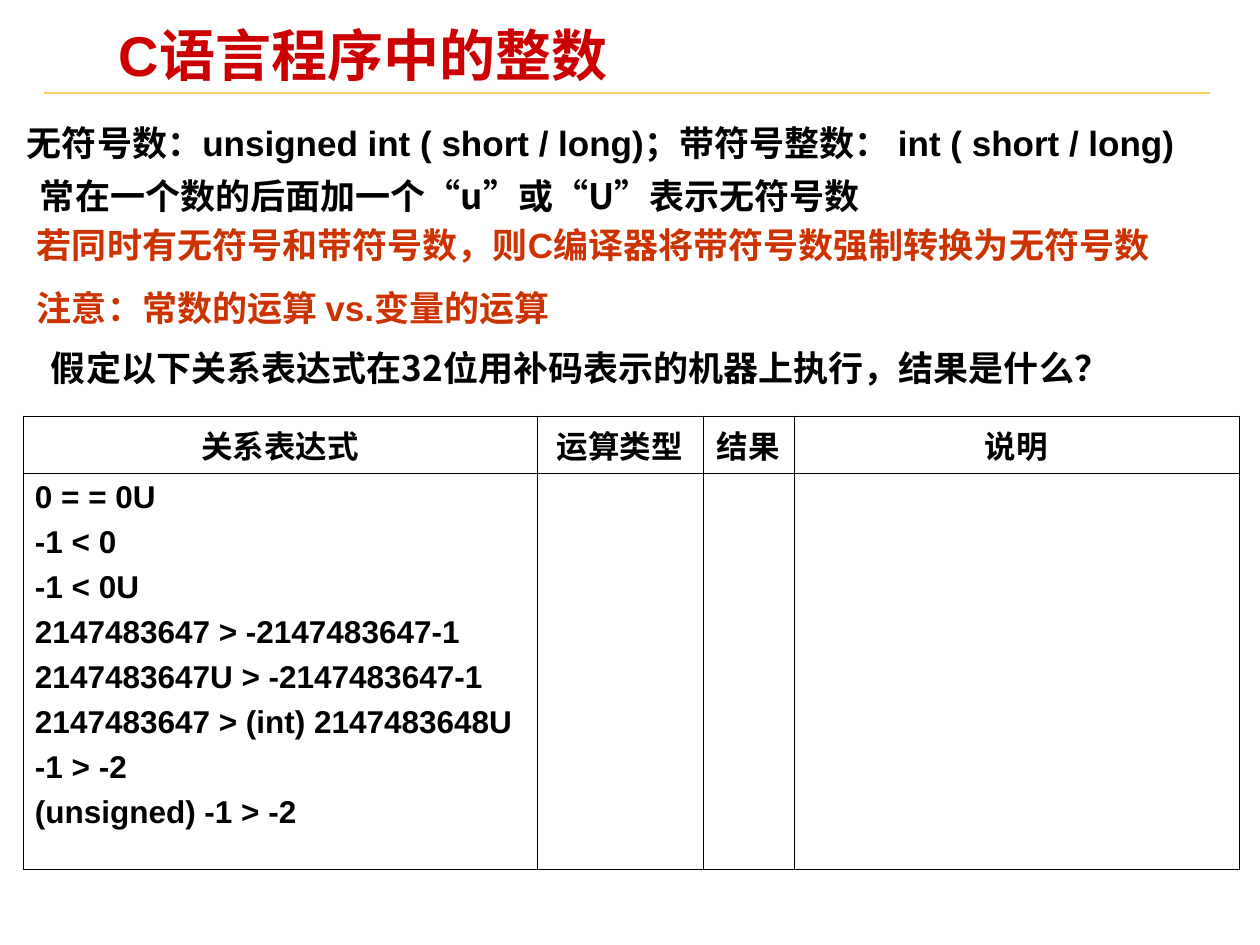
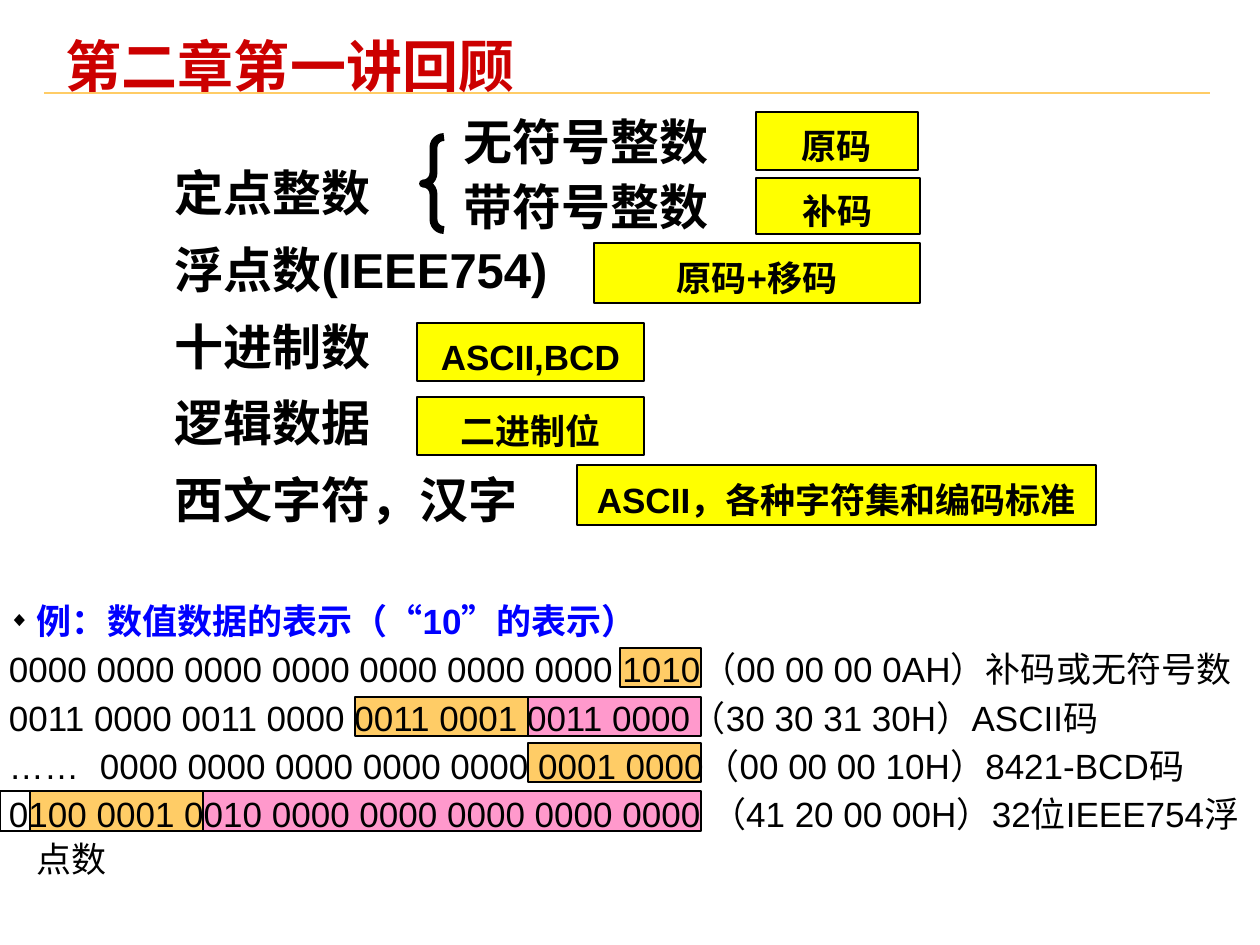
from pptx import Presentation
from pptx.dml.color import RGBColor
from pptx.enum.shapes import MSO_CONNECTOR, MSO_SHAPE as SHAPE
from pptx.enum.text import MSO_ANCHOR as ANCHOR, MSO_AUTO_SIZE, PP_ALIGN as ALIGN
from pptx.oxml.ns import qn
from pptx.util import Pt
from lxml.etree import SubElement

EMU_PER_PX = 914400 / 126
SLIDE_SIZE = (1260, 945)
INDENT = 28
COLORS = {
    "black": "000000", "title": "CC0000", "rule": "FFCC66", "warning": "CC3300",
    "example": "0000FF", "label": "FFFF00", "orange": "FFCC66", "pink": "FF99CC",
}
LATIN, CHINESE = "Arial", "Noto Sans CJK SC"

# Slide 1: integers in C
INTEGER_TITLE = "C语言程序中的整数"
# frame, lines, font, colour, line spacing, wraps
INTEGER_NOTES = [
    ((15, 107, 1198, 63), ["无符号数：unsigned int ( short / long)；带符号整数： int ( short / long)"],
     LATIN, "black", 1.2, False),
    ((28, 160, 936, 63), ["常在一个数的后面加一个“u”或“U”表示无符号数"],
     CHINESE, "black", 1.2, True),
    ((25, 209, 1198, 127), ["若同时有无符号和带符号数，则C编译器将带符号数强制转换为无符号数",
                            "注意：常数的运算 vs.变量的运算"],
     LATIN, "warning", 1.2, True),
    ((39, 340, 1125, 55), ["假定以下关系表达式在32位用补码表示的机器上执行，结果是什么？"],
     CHINESE, "black", 1.0, True),
]
HEADERS = ["关系表达式", "运算类型", "结果", "说明"]
EXPRESSIONS = [
    "0 = = 0U", "-1 < 0", "-1 < 0U", "2147483647 > -2147483647-1",
    "2147483647U > -2147483647-1", "2147483647 > (int) 2147483648U",
    "-1 > -2", "(unsigned) -1 > -2",
]
TABLE_CORNER = (23, 416)
COLUMN_WIDTHS = [514, 166, 91, 445]
ROW_HEIGHTS = [50, 396]

# Slide 2: review
REVIEW_TITLE = "第二章第一讲回顾"
DATA_KINDS = ["定点整数", "浮点数(IEEE754)", "十进制数", "逻辑数据", "西文字符，汉字"]
INTEGER_KINDS = ["无符号整数", "带符号整数"]
CODE_LABELS = [
    ("原码", (756, 112, 162, 58)),
    ("补码", (756, 178, 164, 56)),
    ("原码+移码", (594, 243, 326, 60)),
    ("ASCII,BCD", (417, 323, 227, 58)),
    ("二进制位", (417, 397, 227, 58)),
    ("ASCII，各种字符集和编码标准", (577, 465, 519, 60)),
]
EXAMPLE_HEADING = "例：数值数据的表示（“10”的表示）"
EXAMPLES = [
    "0000 0000 0000 0000 0000 0000 0000 1010（00 00 00 0AH）补码或无符号数",
    "0011 0000 0011 0000 0011 0001 0011 0000（30 30 31 30H）ASCII码",
    "……\t0000 0000 0000 0000 0000 0001 0000（00 00 00 10H）8421-BCD码",
    "0100 0001 0010 0000 0000 0000 0000 0000 （41 20 00 00H）32位IEEE754浮点数",
]
BITS_RIGHT = 701
# top, height, fields as (width, fill) from right to left
BIT_FIELDS = [
    (648, 39, [(81, "orange")]),
    (697, 39, [(173, "pink"), (173, "orange")]),
    (743, 39, [(173, "orange")]),
    (791, 40, [(498, "pink"), (173, "orange"), (30, None)]),
]


def px(value):
    return round(value * EMU_PER_PX)


def color(name):
    return RGBColor.from_string(COLORS[name])


def place(shape, frame):
    shape.left, shape.top, shape.width, shape.height = map(px, frame)


def set_frame(frame, margins, anchor=ANCHOR.TOP, wrap=True):
    frame.auto_size = MSO_AUTO_SIZE.NONE
    frame.word_wrap = wrap
    frame.vertical_anchor = anchor
    frame.margin_left = frame.margin_right = px(margins[0])
    frame.margin_top = frame.margin_bottom = px(margins[1])


def write(frame, lines, size, tone="black", font=LATIN, bold=True, spacing=1.0,
          before=0, align=ALIGN.LEFT, indent=0):
    """Fill a text frame, one paragraph per line, with one look."""
    frame.text = "\n".join(lines)
    for index, para in enumerate(frame.paragraphs):
        para.alignment = align
        para.line_spacing = spacing
        para.space_before = Pt(before if index else 0)
        para.space_after = Pt(0)
        properties = para._p.get_or_add_pPr()
        properties.set("marL", str(px(indent)))
        properties.set("indent", str(-px(indent)))
        SubElement(properties, qn("a:buNone"))
        for span in para.runs:
            span.font.size, span.font.bold, span.font.name = Pt(size), bold, font
            span.font.color.rgb = color(tone)


def add_box(slide, frame, fill, kind=SHAPE.RECTANGLE, line_width=1):
    box = slide.shapes.add_shape(kind, *map(px, frame))
    box.shadow.inherit = False
    if fill:
        box.fill.solid()
        box.fill.fore_color.rgb = color(fill)
    else:
        box.fill.background()
    box.line.color.rgb = color("black")
    box.line.width = Pt(line_width)
    return box


def add_text(slide, frame, margins, wrap=True):
    box = slide.shapes.add_textbox(*map(px, frame))
    set_frame(box.text_frame, margins, wrap=wrap)
    return box.text_frame


def add_slide(deck, layout, title, corner):
    slide = deck.slides.add_slide(deck.slide_layouts.get_by_name(layout))
    place(slide.shapes.title, (*corner, 837, 66))
    set_frame(slide.shapes.title.text_frame, (9, 4), ANCHOR.MIDDLE)
    write(slide.shapes.title.text_frame, [title], 32, "title", spacing=0.87)
    return slide


def add_master_rule(deck, slide):
    """Draw the line under the title and hand it to the slide master."""
    rule = slide.shapes.add_connector(MSO_CONNECTOR.STRAIGHT, px(44), px(93), px(1210), px(93))
    rule.line.color.rgb = color("rule")
    rule.line.width = Pt(1)
    SubElement(rule._element.spPr, qn("a:effectLst"))
    deck.slide_master.shapes.element.append(rule._element)


def style_cell(cell):
    cell.margin_left = cell.margin_right = px(12)
    cell.margin_top = cell.margin_bottom = px(6)
    properties = cell._tc.get_or_add_tcPr()
    for side in ("lnL", "lnR", "lnT", "lnB"):
        border = SubElement(properties, qn(f"a:{side}"), w=str(Pt(0.45)))
        fill = SubElement(border, qn("a:solidFill"))
        SubElement(fill, qn("a:srgbClr"), val=COLORS["black"])
    cell.fill.background()


def add_expression_table(slide):
    table = slide.shapes.add_table(
        len(ROW_HEIGHTS), len(COLUMN_WIDTHS), *map(px, TABLE_CORNER),
        px(sum(COLUMN_WIDTHS)), px(sum(ROW_HEIGHTS))).table
    table.first_row = table.horz_banding = False
    for column, width in zip(table.columns, COLUMN_WIDTHS):
        column.width = px(width)
    for row, height in zip(table.rows, ROW_HEIGHTS):
        row.height = px(height)
    for cell in table.iter_cells():
        style_cell(cell)
    for index, header in enumerate(HEADERS):
        write(table.cell(0, index).text_frame, [header], 18, align=ALIGN.CENTER, indent=INDENT)
    write(table.cell(1, 0).text_frame, EXPRESSIONS, 18, before=5.6, indent=INDENT)


def build_integer_slide(deck):
    slide = add_slide(deck, "Title Only", INTEGER_TITLE, (110, 26))
    add_master_rule(deck, slide)
    add_expression_table(slide)
    for frame, lines, font, tone, spacing, wrap in INTEGER_NOTES:
        write(add_text(slide, frame, (12, 6), wrap), lines, 20, tone, font,
              spacing=spacing, before=7.5)


def add_bit_fields(slide):
    for top, height, fields in BIT_FIELDS:
        right = BITS_RIGHT
        for width, fill in fields:
            right -= width
            add_box(slide, (right, top, width, height), fill)


def format_examples(frame):
    """Give the heading its bullet and the shortened line its tab stop."""
    heading, shortened = frame.paragraphs[0], frame.paragraphs[3]
    for span in heading.runs:
        span.font.bold = True
        span.font.color.rgb = color("example")
    properties = heading._p.pPr
    properties.remove(properties.find(qn("a:buNone")))
    bullet_color = SubElement(properties, qn("a:buClr"))
    SubElement(bullet_color, qn("a:srgbClr"), val=COLORS["black"])
    SubElement(properties, qn("a:buSzPct"), val="60000")
    SubElement(properties, qn("a:buChar"), char="◆")
    tabs = SubElement(shortened._p.pPr, qn("a:tabLst"))
    SubElement(tabs, qn("a:tab"), pos=str(px(86)), algn="l")


def build_review_slide(deck):
    slide = add_slide(deck, "Two Content", REVIEW_TITLE, (57, 37))
    kinds, examples = slide.placeholders[1], slide.placeholders[2]

    place(kinds, (166, 147, 683, 384))
    set_frame(kinds.text_frame, (9, 4))
    write(kinds.text_frame, DATA_KINDS, 28, spacing=1.2, before=3.5, indent=INDENT)

    brace = add_box(slide, (423, 137, 21, 93), None, SHAPE.LEFT_BRACE, 4.5)
    brace.adjustments[0] = 0.5
    write(add_text(slide, (455, 102, 486, 136), (9, 4)), INTEGER_KINDS, 28,
          spacing=1.1, indent=INDENT)

    for label, frame in CODE_LABELS:
        box = add_box(slide, frame, "label")
        set_frame(box.text_frame, (0, 0), ANCHOR.MIDDLE)
        write(box.text_frame, [label], 20, spacing=1.2, align=ALIGN.CENTER, indent=INDENT)

    add_bit_fields(slide)
    place(examples, (0, 593, 1260, 333))
    set_frame(examples.text_frame, (9, 4))
    write(examples.text_frame, [EXAMPLE_HEADING, *EXAMPLES], 20, bold=False,
          spacing=1.05, before=2.5, indent=INDENT)
    format_examples(examples.text_frame)
    slide.shapes.element.append(examples._element)  # in front of the bit fields


def main():
    deck = Presentation()
    deck.slide_width, deck.slide_height = map(px, SLIDE_SIZE)
    build_integer_slide(deck)
    build_review_slide(deck)
    deck.save("out.pptx")


if __name__ == "__main__":
    main()
